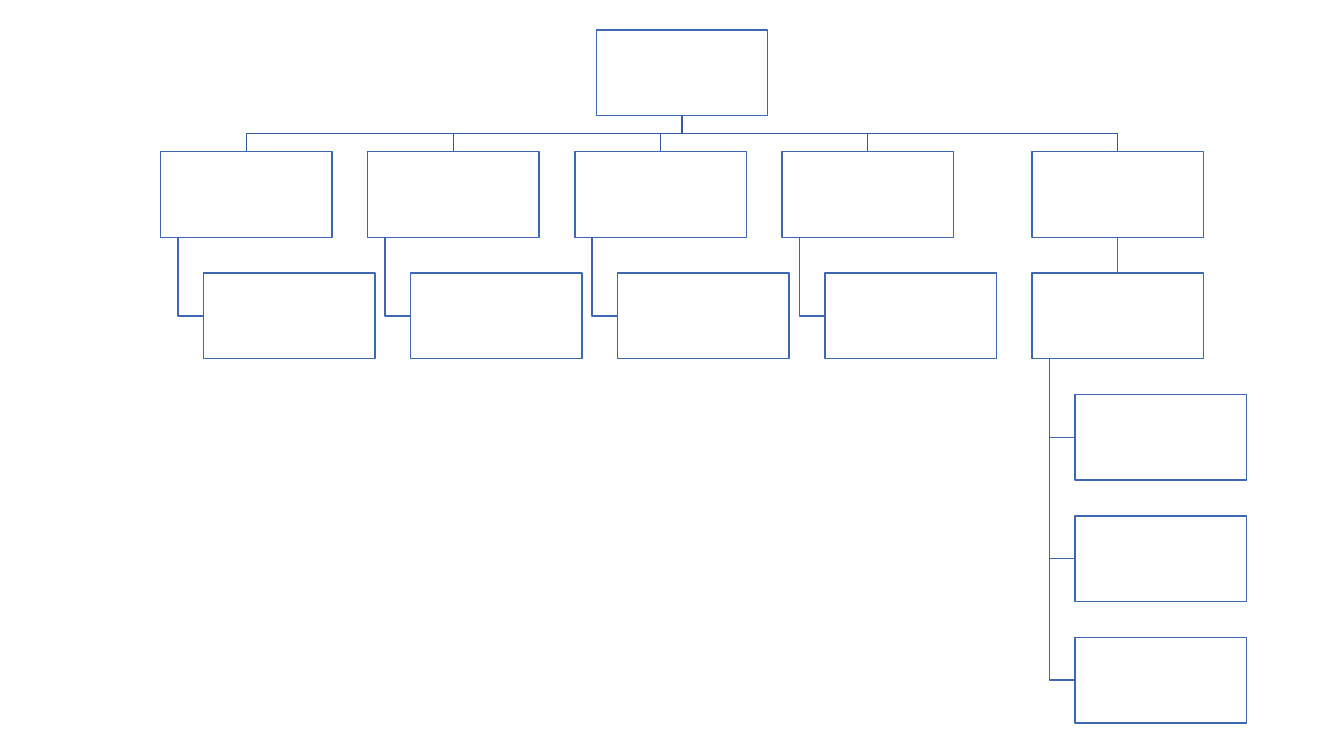
"""Build an organisation chart of empty boxes on one slide."""
import pptx
import pptx.dml.color
import pptx.enum.shapes
import pptx.util
from pptx.util import Cm

COLORS = {"box": "FFFFFF", "line": "3E67B2", "branch": "365B9D"}
BOX_W, BOX_H = 4.32, 2.16
LEFT, TOP = 4.05, 0.76
COL_STEP, ROW_STEP = 5.22, 3.06
INDENT, TRUNK = BOX_W / 4, BOX_W / 10
COLUMNS = 5


def row_top(row):
    """Return the top of a row of boxes."""
    return TOP + row * ROW_STEP


def style_line(s, color):
    """Give a shape a thin outline without shadow."""
    s.shadow.inherit = False
    s.line.color.rgb = pptx.dml.color.RGBColor.from_string(COLORS[color])
    s.line.width = pptx.util.Pt(1)


def add_box(slide, left, row):
    """Add one box of the chart."""
    s = slide.shapes.add_shape(
        pptx.enum.shapes.MSO_SHAPE.RECTANGLE,
        Cm(left), Cm(row_top(row)), Cm(BOX_W), Cm(BOX_H))
    s.fill.solid()
    s.fill.fore_color.rgb = pptx.dml.color.RGBColor.from_string(COLORS["box"])
    style_line(s, "line")


def add_path(slide, points, color="line"):
    """Add an open line through the given points."""
    start, *rest = [(Cm(x), Cm(y)) for x, y in points]
    builder = slide.shapes.build_freeform(*start)
    builder.add_line_segments(rest, close=False)
    s = builder.convert_to_shape()
    s.fill.background()
    style_line(s, color)


def add_branch(slide, root_left, left):
    """Link the root box to a box in the row below."""
    start, end = root_left + BOX_W / 2, left + BOX_W / 2
    bottom, top = row_top(0) + BOX_H, row_top(1)
    middle = (bottom + top) / 2
    add_path(slide, [(start, bottom), (start, middle), (end, middle), (end, top)],
             "branch")


def add_hanger(slide, left, row, child_row):
    """Link a box to an indented box below it."""
    x, y = left + TRUNK, row_top(child_row) + BOX_H / 2
    add_path(slide, [(x, row_top(row) + BOX_H), (x, y), (left + INDENT, y)])


def main():
    """Draw the links, then the boxes, and save the slide."""
    prs = pptx.Presentation()
    prs.slide_width, prs.slide_height = Cm(33.87), Cm(19.05)
    slide = prs.slides.add_slide(prs.slide_layouts[6])

    lefts = [LEFT + i * COL_STEP for i in range(COLUMNS)]
    lefts[-1] += INDENT
    root_left = (lefts[0] + lefts[-1]) / 2
    *short, last = lefts

    hangers = [(left, 1, 2) for left in short]
    hangers += [(last, 2, row) for row in (3, 4, 5)]
    boxes = [(root_left, 0)] + [(left, 1) for left in lefts] + [(last, 2)]
    boxes += [(left + INDENT, child_row) for left, _, child_row in hangers]

    for left in lefts:
        add_branch(slide, root_left, left)
    for hanger in hangers:
        add_hanger(slide, *hanger)
    center = last + BOX_W / 2
    add_path(slide, [(center, row_top(1) + BOX_H), (center, row_top(2))])
    for box in boxes:
        add_box(slide, *box)

    prs.save("out.pptx")


main()
